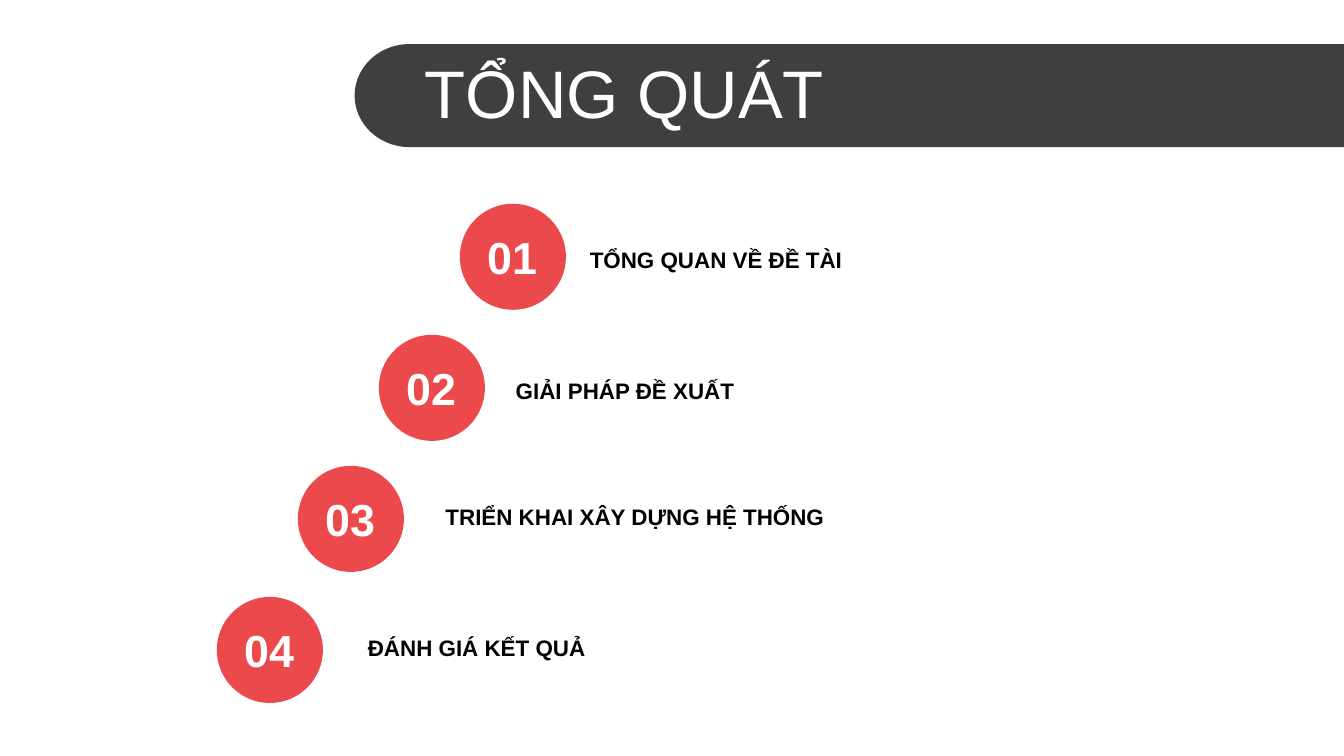
from math import cos, pi, sin

from pptx import Presentation
from pptx.dml.color import RGBColor
from pptx.enum.shapes import MSO_SHAPE
from pptx.enum.text import MSO_ANCHOR, MSO_AUTO_SIZE, PP_ALIGN
from pptx.util import Pt

OVAL = MSO_SHAPE.OVAL
MIDDLE = MSO_ANCHOR.MIDDLE
NO_AUTOFIT = MSO_AUTO_SIZE.NONE
LEFT, CENTER = PP_ALIGN.LEFT, PP_ALIGN.CENTER

SLIDE_WIDTH, SLIDE_HEIGHT = 720, 405
TITLE_ONLY_LAYOUT = 5
COLORS = {"banner": "3F3F3F", "circle": "EB494B", "light": "FFFFFF", "dark": "000000"}
FORMATS = {
    "title": {"size": Pt(36), "bold": False, "color": "light", "align": LEFT},
    "number": {"size": Pt(24), "bold": True, "color": "light", "align": CENTER},
    "label": {"size": Pt(12), "bold": True, "color": "dark", "align": LEFT},
}

# Agenda: label, left and top of the label
AGENDA = [
    ("TỔNG QUAN VỀ ĐỀ TÀI", 308.9, 128.2),
    ("GIẢI PHÁP ĐỀ XUẤT", 269.2, 198.2),
    ("TRIỂN KHAI XÂY DỰNG HỆ THỐNG", 231.6, 265.8),
    ("ĐÁNH GIÁ KẾT QUẢ", 190, 336.2),
]
CIRCLE_SIZE = 56.8
FIRST_CIRCLE = (246.4, 109.2)
CIRCLE_STEP = (-43.4, 70.2)


class AgendaSlide:
    font_name = "Arial"

    def __init__(self, slide):
        self.slide = slide

    def color(self, name):
        return RGBColor.from_string(COLORS[name])

    def paint(self, shape, color_name):
        shape.shadow.inherit = False
        shape.fill.solid()
        shape.fill.fore_color.rgb = self.color(color_name)
        shape.line.fill.background()

    def set_text(self, shape, text, format_name, wrap=True):
        style = FORMATS[format_name]
        frame = shape.text_frame
        frame.text = text
        frame_values = {"word_wrap": wrap, "auto_size": NO_AUTOFIT, "vertical_anchor": MIDDLE}
        for name, value in frame_values.items():
            setattr(frame, name, value)
        paragraph = frame.paragraphs[0]
        paragraph.alignment = style["align"]
        font_values = {"name": self.font_name, "size": style["size"], "bold": style["bold"]}
        for name, value in font_values.items():
            setattr(paragraph.font, name, value)
        paragraph.font.color.rgb = self.color(style["color"])

    def banner(self, left, top, right, bottom, cap_width, steps=60):
        radius = (bottom - top) / 2
        angles = [pi / 2 + pi * step / steps for step in range(steps + 1)]
        cap = [
            (left + cap_width + cap_width * cos(angle), top + radius + radius * sin(angle))
            for angle in angles
        ]
        builder = self.slide.shapes.build_freeform(Pt(right), Pt(bottom), scale=1.0)
        points = [(Pt(x), Pt(y)) for x, y in cap + [(right, top)]]
        builder.add_line_segments(points, close=True)
        self.paint(builder.convert_to_shape(), "banner")

    def title(self, text, left, top, width, height):
        shape = self.slide.shapes.title
        box = {"left": left, "top": top, "width": width, "height": height}
        for name, value in box.items():
            setattr(shape, name, Pt(value))
        self.set_text(shape, text, "title")
        # Bring the title in front of the banner
        shape.element.getparent().append(shape.element)

    def circle(self, text, left, top):
        shape = self.slide.shapes.add_shape(
            OVAL, Pt(left), Pt(top), Pt(CIRCLE_SIZE), Pt(CIRCLE_SIZE)
        )
        self.paint(shape, "circle")
        self.set_text(shape, text, "number", wrap=False)

    def label(self, text, left, top):
        shape = self.slide.shapes.add_textbox(Pt(left), Pt(top), Pt(363), Pt(21.8))
        self.set_text(shape, text, "label")


def main():
    presentation = Presentation()
    presentation.slide_width = Pt(SLIDE_WIDTH)
    presentation.slide_height = Pt(SLIDE_HEIGHT)
    layout = presentation.slide_layouts[TITLE_ONLY_LAYOUT]
    agenda = AgendaSlide(presentation.slides.add_slide(layout))

    # Title banner
    agenda.banner(190, 23.6, SLIDE_WIDTH, 78.8, cap_width=29.4)
    agenda.title("TỔNG QUÁT", 220.4, 26.6, 499.6, 45.4)

    # Numbered agenda running diagonally down
    for index, (text, left, top) in enumerate(AGENDA):
        circle_left, circle_top = (
            start + index * step for start, step in zip(FIRST_CIRCLE, CIRCLE_STEP)
        )
        agenda.circle(f"{index + 1:02d}", circle_left, circle_top)
        agenda.label(text, left, top)

    presentation.save("out.pptx")


if __name__ == "__main__":
    main()
